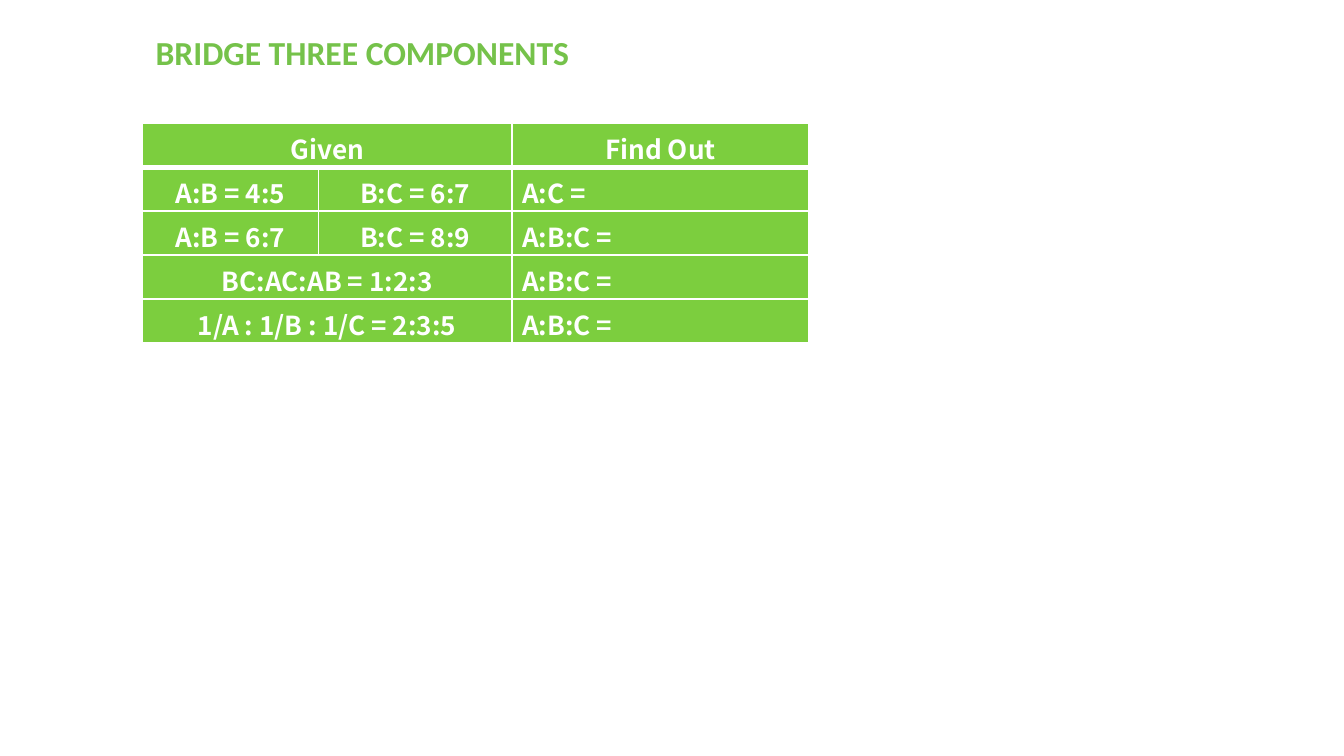
from dataclasses import dataclass

from lxml import etree
from pptx import Presentation
from pptx import util as u
from pptx.dml.color import RGBColor
from pptx.enum import text
from pptx.oxml import ns

WHITE = "FFFFFF"
CELL_GREEN = "7CCE3E"
TITLE_GREEN = "75C24A"
COLUMN_WIDTHS = (94.32, 103.68, 159.12)
ROW_HEIGHT = 22.75
LEFT = 76.32


@dataclass(frozen=True)
class Exercise:
    given: tuple[str, ...]
    find: str


EXERCISES = (
    Exercise(("Given",), "Find Out"),
    Exercise(("A:B = 4:5", "B:C = 6:7"), "A:C ="),
    Exercise(("A:B = 6:7", "B:C = 8:9"), "A:B:C ="),
    Exercise(("BC:AC:AB = 1:2:3",), "A:B:C ="),
    Exercise(("1/A : 1/B : 1/C = 2:3:5",), "A:B:C ="),
)


def rgb(color: str) -> RGBColor:
    return RGBColor.from_string(color)


def write(tf, content: str, font: str, size: float, color: str, align) -> None:
    p = tf.paragraphs[0]
    p.alignment = align
    p.line_spacing = 1.15
    p.space_after = u.Pt(10)
    r = p.add_run()
    r.text = content
    r.font.name = font
    r.font.size = u.Pt(size)
    r.font.bold = True
    r.font.color.rgb = rgb(color)


def set_borders(cell, top: float, bottom: float) -> None:
    tc_pr = cell._tc.get_or_add_tcPr()
    widths = {"L": 1, "R": 1, "T": top, "B": bottom}
    for i, (side, width) in enumerate(widths.items()):
        ln = etree.Element(ns.qn(f"a:ln{side}"), w=str(u.Pt(width)))
        fill = etree.SubElement(ln, ns.qn("a:solidFill"))
        etree.SubElement(fill, ns.qn("a:srgbClr"), val=WHITE)
        tc_pr.insert(i, ln)


def format_cell(cell, row: int) -> None:
    cell.margin_left = cell.margin_right = u.Pt(5.4)
    cell.margin_top = cell.margin_bottom = u.Pt(0)
    cell.fill.solid()
    cell.fill.fore_color.rgb = rgb(CELL_GREEN)
    set_borders(cell, 3 if row == 1 else 1, 3 if row == 0 else 1)


def add_exercise_table(s, exercises: tuple[Exercise, ...]) -> None:
    table = s.shapes.add_table(
        len(exercises), len(COLUMN_WIDTHS), u.Pt(LEFT), u.Pt(66.24),
        u.Pt(sum(COLUMN_WIDTHS)), u.Pt(ROW_HEIGHT * len(exercises)),
    ).table
    for column, width in zip(table.columns, COLUMN_WIDTHS):
        column.width = u.Pt(width)
    for row, exercise in enumerate(exercises):
        table.rows[row].height = u.Pt(ROW_HEIGHT)
        for cell in table.rows[row].cells:
            format_cell(cell, row)
        if len(exercise.given) == 1:
            table.cell(row, 0).merge(table.cell(row, 1))
        find_align = text.PP_ALIGN.LEFT if row else text.PP_ALIGN.CENTER
        entries = [(col, given, text.PP_ALIGN.CENTER)
                   for col, given in enumerate(exercise.given)]
        entries.append((2, exercise.find, find_align))
        for col, content, align in entries:
            write(table.cell(row, col).text_frame, content,
                  "Noto Sans CJK KR", 14, WHITE, align)


def add_title(s, content: str) -> None:
    sp = s.shapes.add_textbox(u.Pt(LEFT), u.Pt(10.08), u.Pt(360), u.Pt(30.96))
    tf = sp.text_frame
    tf.word_wrap = True
    tf.auto_size = text.MSO_AUTO_SIZE.SHAPE_TO_FIT_TEXT
    write(tf, content, "Calibri", 18, TITLE_GREEN, text.PP_ALIGN.LEFT)


def main() -> None:
    prs = Presentation()
    prs.slide_width = u.Pt(720)
    prs.slide_height = u.Pt(405)
    s = prs.slides.add_slide(prs.slide_layouts[6])
    add_exercise_table(s, EXERCISES)
    add_title(s, "BRIDGE THREE COMPONENTS")
    prs.save("out.pptx")


if __name__ == "__main__":
    main()
